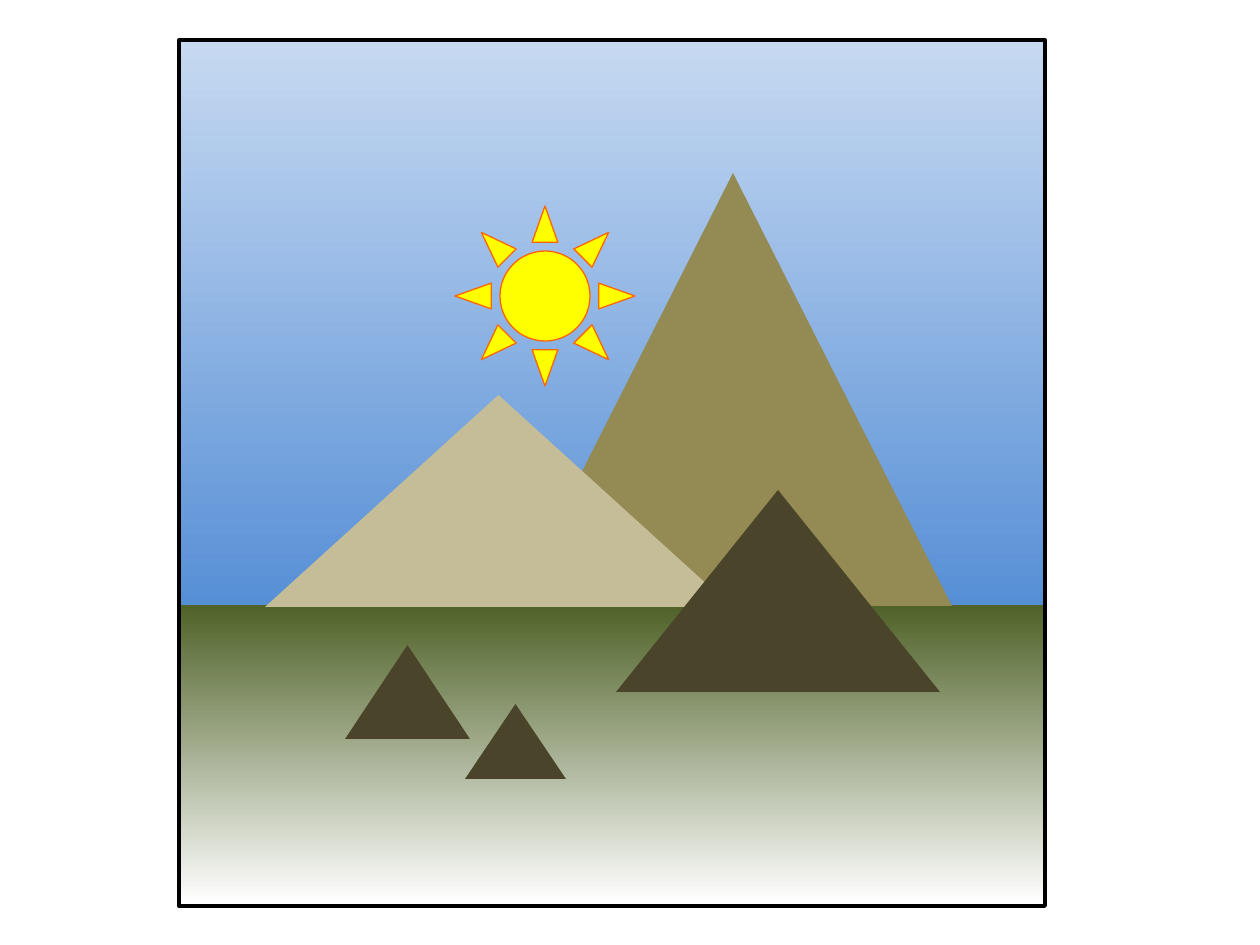
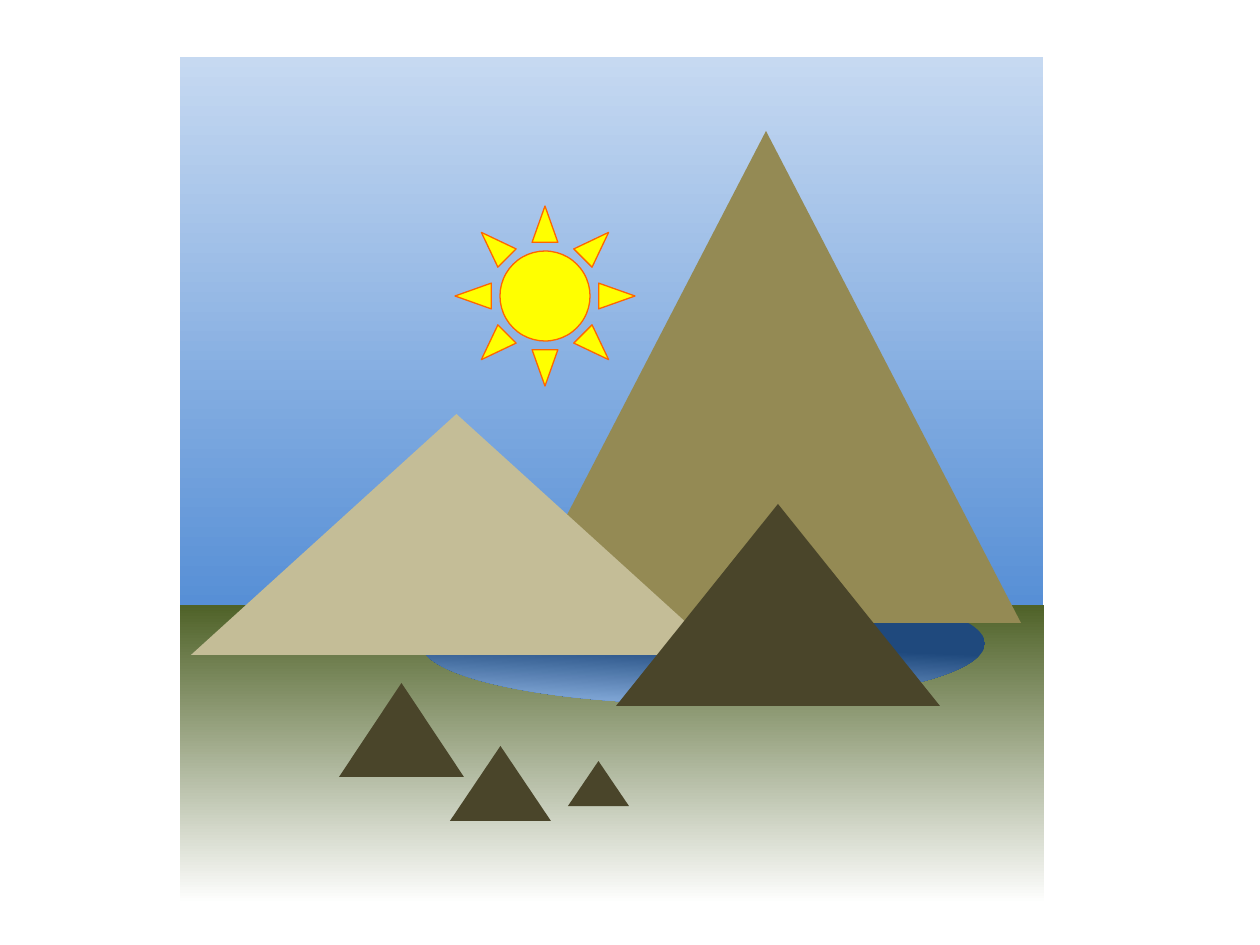
from pptx import Presentation
from pptx.dml.color import RGBColor as RGB
from pptx.enum.shapes import MSO_SHAPE as Kind
from pptx.util import Emu, Pt

PX = 914400 / 126
WIDE, HIGH = 1260, 945

HUES = {
    "sky_top": "C6D9F1", "sky_low": "558ED5",
    "grass": "4F6228", "mist": "FFFFFF",
    "deep": "1F497D", "shoal": "8EB4E3",
    "peak": "948A54", "sand": "C4BD97", "rock": "4A452A",
    "sun": "FFFF00", "glow": "FF6600", "frame": "000000",
}

# Look of each part: preset, fill, line.
# A fill is one hue, or (start hue, end hue, start stop, angle).
# A line is (hue, points).
LOOKS = {
    "sky": (Kind.RECTANGLE, ("sky_top", "sky_low", 0, 90), None),
    "ground": (Kind.RECTANGLE, ("grass", "mist", 0, 90), None),
    "lake": (Kind.OVAL, ("deep", "shoal", 0.51, 92), None),
    "peak": (Kind.ISOSCELES_TRIANGLE, "peak", None),
    "sun": (Kind.SUN, "sun", ("glow", 0.75)),
    "hill": (Kind.ISOSCELES_TRIANGLE, "sand", None),
    "rock": (Kind.ISOSCELES_TRIANGLE, "rock", None),
    "frame": (Kind.RECTANGLE, None, ("frame", 2.25)),
}

SUN = ("sun", 455, 206, 180, 180)

# Parts from back to front: look, left, top, width, height in px.
SCENES = [
    [
        ("sky", 180, 40, 863, 575),
        ("ground", 180, 605, 865, 299),
        ("peak", 514, 173, 438, 433),
        SUN,
        ("hill", 265, 395, 467, 212),
        ("rock", 616, 490, 324, 202),
        ("rock", 345, 645, 125, 94),
        ("rock", 465, 704, 101, 75),
        ("frame", 179, 40, 866, 866),
    ],
    [
        ("sky", 180, 57, 863, 558),
        ("ground", 180, 605, 864, 299),
        ("lake", 421, 583, 564, 121),
        ("peak", 511, 131, 510, 492),
        SUN,
        ("hill", 191, 414, 531, 241),
        ("rock", 616, 504, 324, 202),
        ("rock", 339, 683, 125, 94),
        ("rock", 450, 746, 101, 75),
        ("rock", 568, 761, 61, 45),
    ],
]


def px(num):
    return Emu(round(num * PX))


def hue(name):
    return RGB.from_string(HUES[name])


def set_fill(fill, paint):
    if paint is None:
        fill.background()
    elif isinstance(paint, str):
        fill.solid()
        fill.fore_color.rgb = hue(paint)
    else:
        start, end, pos, turn = paint
        fill.gradient()
        fill.gradient_angle = 360 - turn
        for stop, name, at in zip(fill.gradient_stops, (start, end), (pos, 1)):
            stop.color.rgb = hue(name)
            stop.position = at


def set_line(line, pen):
    if pen is None:
        line.fill.background()
    else:
        name, size = pen
        line.color.rgb = hue(name)
        line.width = Pt(size)


def add_part(slide, look, *box):
    kind, paint, pen = LOOKS[look]
    shape = slide.shapes.add_shape(kind, *map(px, box))
    shape.shadow.inherit = False
    set_fill(shape.fill, paint)
    set_line(shape.line, pen)


def main():
    deck = Presentation()
    deck.slide_width, deck.slide_height = px(WIDE), px(HIGH)
    blank = deck.slide_layouts.get_by_name("Blank")
    for scene in SCENES:
        slide = deck.slides.add_slide(blank)
        for part in scene:
            add_part(slide, *part)
    deck.save("out.pptx")


if __name__ == "__main__":
    main()
